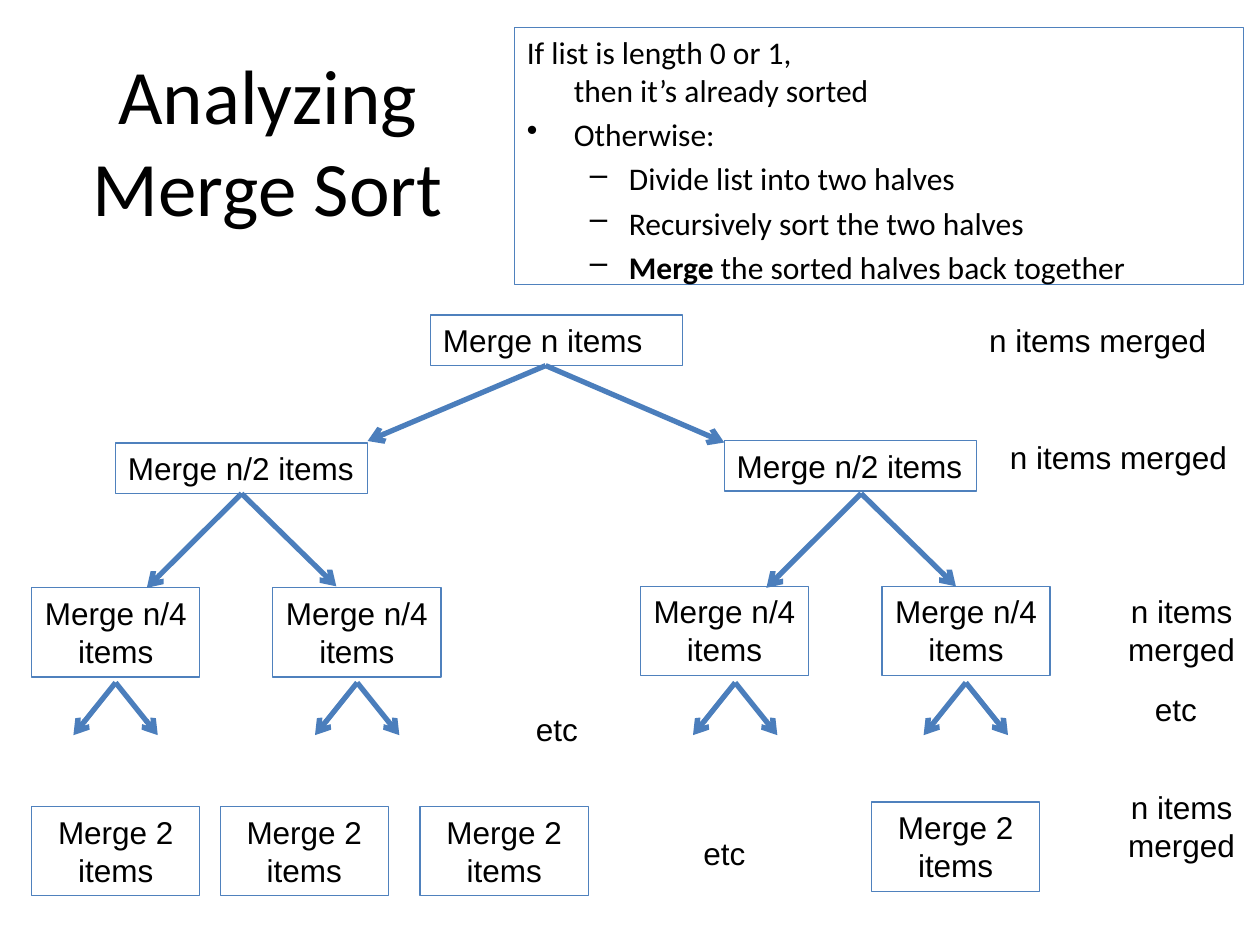
from typing import NamedTuple

from lxml import etree
from pptx import Presentation
from pptx.dml.color import RGBColor
from pptx.enum.shapes import MSO_CONNECTOR, MSO_SHAPE
from pptx.enum.text import MSO_ANCHOR, PP_ALIGN
from pptx.oxml.ns import qn
from pptx.util import Cm, Pt

RECT = MSO_SHAPE.RECTANGLE
STRAIGHT = MSO_CONNECTOR.STRAIGHT
LEFT, CENTER = PP_ALIGN.LEFT, PP_ALIGN.CENTER
TOP, MIDDLE = MSO_ANCHOR.TOP, MSO_ANCHOR.MIDDLE
BLACK, EDGE, ARROW = "000000", "4F81BD", "4B7EBC"
BOTTOM = 2  # connection site


class Label(NamedTuple):
    text: str
    x: float
    y: float
    w: float = 3.39
    h: float = 1.8
    align: PP_ALIGN = CENTER
    boxed: bool = True
    wrap: bool = True


class Fork(NamedTuple):
    """An apex with two arrows; tips are offsets from the apex."""
    x: float
    y: float
    tips: tuple
    start: object = None


class Point(NamedTuple):
    text: str
    bullet: str = ""
    level: int = 0
    bold: str = ""


def paint(color, code: str):
    color.rgb = RGBColor.from_string(code)


def style(para, size: float, font: str, align=LEFT):
    para.alignment = align
    para.font.size = Pt(size)
    para.font.name = font
    paint(para.font.color, BLACK)


def add_label(slide, item: Label):
    area = [Cm(v) for v in (item.x, item.y, item.w, item.h)]
    if item.boxed:
        shape = slide.shapes.add_shape(RECT, *area)
        shape.shadow.inherit = False
        shape.fill.background()
        paint(shape.line.color, EDGE)
        shape.line.width = Pt(0.75)
    else:
        shape = slide.shapes.add_textbox(*area)
    frame = shape.text_frame
    frame.word_wrap = item.wrap
    frame.vertical_anchor = TOP
    frame.text = item.text
    style(frame.paragraphs[0], 18, "Arial", item.align)
    return shape


def add_fork(slide, fork: Fork):
    for dx, dy in fork.tips:
        ends = (fork.x, fork.y, fork.x + dx, fork.y + dy)
        arrow = slide.shapes.add_connector(STRAIGHT, *[Cm(v) for v in ends])
        if fork.start is not None:
            arrow.begin_connect(fork.start, BOTTOM)
        paint(arrow.line.color, ARROW)
        arrow.line.width = Pt(3)
        props = arrow.element.spPr
        etree.SubElement(props.find(qn("a:ln")), qn("a:tailEnd"), type="arrow")
        etree.SubElement(props, qn("a:effectLst"))


def add_point(para, point: Point):
    if point.bold:
        run = para.add_run()
        run.text = point.bold
        run.font.bold = True
    first, *rest = point.text.split("\v")
    para.add_run().text = first
    for line in rest:
        para.add_line_break()
        para.add_run().text = line
    style(para, 18, "Calibri")
    para.level = point.level
    para.space_before = Pt(3.6)
    margin, indent = ((0.95, -0.95), (2.06, -0.79))[point.level]
    props = para._p.get_or_add_pPr()
    props.set("marL", str(Cm(margin)))
    props.set("indent", str(Cm(indent)))
    if point.bullet:
        mark = etree.Element(qn("a:buChar"), char=point.bullet)
        props.find(qn("a:defRPr")).addprevious(mark)


def main():
    deck = Presentation()
    deck.slide_width, deck.slide_height = Cm(25.4), Cm(19.05)
    slide = deck.slides.add_slide(deck.slide_layouts[6])

    # Title
    title = slide.shapes.add_textbox(Cm(1.27), Cm(0.76), Cm(8.26), Cm(4.11))
    title.text_frame.word_wrap = True
    title.text_frame.vertical_anchor = MIDDLE
    title.text_frame.text = "Analyzing\vMerge Sort"
    style(title.text_frame.paragraphs[0], 44, "Calibri", CENTER)

    # Algorithm summary
    points = [
        Point("If list is length 0 or 1,\vthen it’s already sorted"),
        Point("Otherwise:", "•"),
        Point("Divide list into two halves", "–", 1),
        Point("Recursively sort the two halves", "–", 1),
        Point(" the sorted halves back together", "–", 1, "Merge"),
    ]
    frame = add_label(slide, Label("", 10.37, 0.55, 14.7, 5.19)).text_frame
    for i, point in enumerate(points):
        para = frame.add_paragraph() if i else frame.paragraphs[0]
        add_point(para, point)

    # Merge tree, top to bottom
    add_label(slide, Label("Merge n items", 8.68, 6.35, 5.08, 1.02, LEFT))
    half, _ = [add_label(slide, Label("Merge n/2 items", x, y, 5.08, 1.02, LEFT))
               for x, y in ((2.33, 8.93), (14.6, 8.88))]
    for x, y in ((0.64, 11.85), (5.5, 11.85), (12.91, 11.82), (17.78, 11.82)):
        add_label(slide, Label("Merge n/4\vitems", x, y))
    for x, y in ((0.64, 16.26), (4.44, 16.26), (8.47, 16.26), (17.57, 16.17)):
        add_label(slide, Label("Merge 2 items", x, y))

    # Arrows between levels
    wide = ((-1.91, 1.9), (1.91, 1.87))
    small = ((-0.85, 1.06), (0.85, 1.06))
    add_fork(slide, Fork(11, 7.37, ((-3.59, 1.52), (3.6, 1.55))))
    add_fork(slide, Fork(4.87, 9.95, wide, half))
    add_fork(slide, Fork(17.36, 9.95, wide))
    for x in (2.33, 7.2, 14.82, 19.47):
        add_fork(slide, Fork(x, 13.76, small))

    # Omitted parts
    for x, y in ((9.53, 14.18), (12.91, 16.69), (22.01, 13.79)):
        add_label(slide, Label("etc", x, y, h=1.02, boxed=False))

    # Work per level
    work = "n items merged"
    for x, y in ((19.69, 6.35), (20.11, 8.71)):
        add_label(slide, Label(work, x, y, 4.92, 1.02, LEFT, False, False))
    for y in (11.81, 15.77):
        add_label(slide, Label(work, 22.23, y, 3.18, boxed=False))

    deck.save("out.pptx")


if __name__ == "__main__":
    main()
